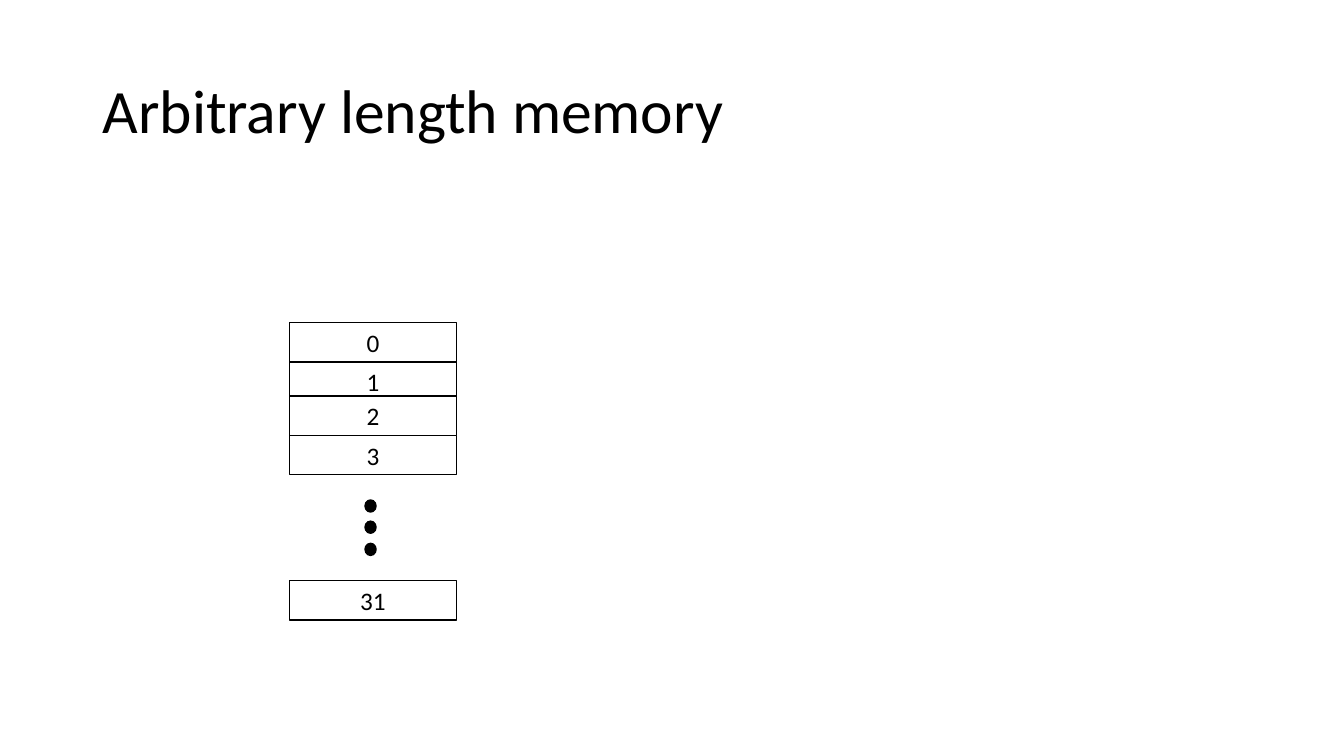
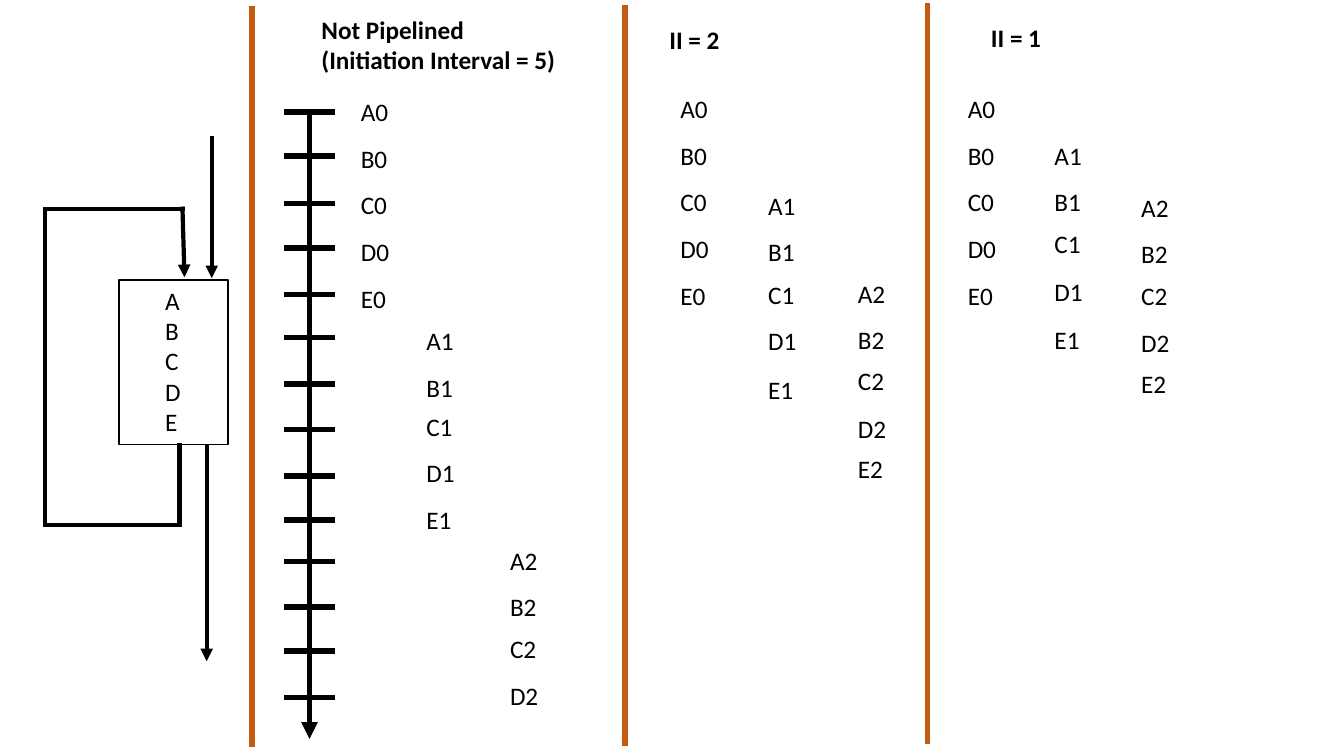
from itertools import pairwise

from pptx import Presentation
from pptx.dml.color import RGBColor
from pptx.enum.shapes import MSO_CONNECTOR, MSO_SHAPE
from pptx.enum.text import MSO_ANCHOR, PP_ALIGN
from pptx.oxml.ns import qn
from pptx.util import Inches, Pt

RECT, OVAL = MSO_SHAPE.RECTANGLE, MSO_SHAPE.OVAL
STRAIGHT = MSO_CONNECTOR.STRAIGHT
MIDDLE, CENTER = MSO_ANCHOR.MIDDLE, PP_ALIGN.CENTER

BLACK = RGBColor(0x00, 0x00, 0x00)
WHITE = RGBColor(0xFF, 0xFF, 0xFF)
ORANGE = RGBColor(0xC5, 0x5A, 0x11)

BODY = {"name": "Calibri", "size": Pt(18)}
HEADING = {**BODY, "bold": True}
TITLE = {**BODY, "size": Pt(44)}

# Slide 1: memory words as label and top
MEMORY_TITLE = "Arbitrary length memory"
MEMORY_WORDS = [("0", 3.2), ("1", 3.59), ("2", 3.93), ("3", 4.32), ("31", 5.76)]
WORD_LEFT, WORD_WIDTH, WORD_HEIGHT = 2.87, 1.66, 0.39
DOT_TOPS = [4.96, 5.17, 5.39]

# Slide 2: pipeline schedules
STAGES = "ABCDE"
HEADINGS = [  # text, left, top, width, height
    ("Not Pipelined\v(Initiation Interval = 5)", 3.09, 0.09, 2.67, 0.71),
    ("II = 2", 6.54, 0.19, 2.5, 0.4),
    ("II = 1", 9.73, 0.17, 2.5, 0.4),
]
FIRST_TOPS = [0.88, 1.34, 1.8, 2.27, 2.73]
ITERATIONS = [  # iteration number, left, top of each stage
    (0, 3.48, [0.91, 1.37, 1.83, 2.3, 2.76]),
    (1, 4.13, [3.18, 3.64, 4.03, 4.49, 4.95]),
    (2, 4.96, [5.36, 5.82, 6.23, 6.7]),
    (0, 6.65, FIRST_TOPS),
    (1, 7.52, [1.84, 2.3, 2.72, 3.18, 3.66]),
    (2, 8.41, [2.71, 3.17, 3.58, 4.05, 4.45]),
    (0, 9.5, FIRST_TOPS),
    (1, 10.36, [1.34, 1.8, 2.22, 2.69, 3.17]),
    (2, 11.22, [1.86, 2.32, 2.73, 3.2, 3.6]),
]
DIVIDERS = [(2.5, 0.06), (6.2, 0.05), (9.2, 0.03)]  # x, top
DIVIDER_HEIGHT = 7.35
AXIS_X, AXIS_BOTTOM, TICK_HALF = 3.07, 7.33, 0.25
TICKS = [1.11, 1.55, 2.02, 2.46, 2.92, 3.35, 3.81,
         4.26, 4.72, 5.16, 5.57, 6.02, 6.46, 6.92]
LOOP_BACK = [(1.78, 4.42), (1.78, 5.21), (0.45, 5.21),
             (0.45, 2.07), (1.81, 2.07), (1.83, 2.75)]
FLOWS = [((2.1, 1.35), (2.1, 2.76)), ((2.05, 4.4), (2.05, 6.56))]  # in, out


def write(frame, lines, style):
    frame.word_wrap = True
    frame.text = "\n".join(lines)
    for paragraph in frame.paragraphs:
        for run in paragraph.runs:
            run.font.color.rgb = BLACK
            for key, value in style.items():
                setattr(run.font, key, value)


def add_text(slide, lines, box, style=BODY):
    frame = slide.shapes.add_textbox(*map(Inches, box)).text_frame
    write(frame, lines, style)
    return frame


def add_figure(slide, kind, box, fill):
    figure = slide.shapes.add_shape(kind, *map(Inches, box))
    figure.shadow.inherit = False
    figure.fill.solid()
    figure.fill.fore_color.rgb = fill
    figure.line.color.rgb = BLACK
    figure.line.width = Pt(1)
    return figure


def add_line(slide, start, end, width, color=BLACK, arrow=False, cap="flat"):
    line = slide.shapes.add_connector(STRAIGHT, *map(Inches, (*start, *end)))
    line.line.color.rgb = color
    line.line.width = Pt(width)
    properties = line.element.spPr
    outline = properties.find(qn("a:ln"))
    outline.set("cap", cap)
    if arrow:
        tail = outline.makeelement(qn("a:tailEnd"), {"type": "triangle"})
        outline.append(tail)
    properties.append(properties.makeelement(qn("a:effectLst"), {}))


def build_memory(slide):
    title = add_text(slide, [MEMORY_TITLE], (0.92, 0.4, 11.5, 1.45), TITLE)
    title.vertical_anchor = MIDDLE
    title.paragraphs[0].line_spacing = 0.9

    # Memory words
    for label, top in MEMORY_WORDS:
        box = (WORD_LEFT, top, WORD_WIDTH, WORD_HEIGHT)
        frame = add_figure(slide, RECT, box, WHITE).text_frame
        write(frame, [label], BODY)
        frame.vertical_anchor = MIDDLE
        frame.paragraphs[0].alignment = CENTER

    # Dots for the words left out
    for top in DOT_TOPS:
        add_figure(slide, OVAL, (3.62, top, 0.11, 0.12), BLACK)


def build_pipeline(slide):
    # Loop body with its flows
    add_figure(slide, RECT, (1.18, 2.78, 1.08, 1.63), WHITE)
    add_text(slide, STAGES, (1.54, 2.78, 0.54, 1.92))
    for start, end in pairwise(LOOP_BACK):
        add_line(slide, start, end, 3, arrow=end == LOOP_BACK[-1], cap="sq")
    for start, end in FLOWS:
        add_line(slide, start, end, 3, arrow=True)

    # Time axis
    add_line(slide, (AXIS_X, TICKS[0]), (AXIS_X, AXIS_BOTTOM), 4, arrow=True)
    for y in TICKS:
        add_line(slide, (AXIS_X - TICK_HALF, y), (AXIS_X + TICK_HALF, y), 4)

    # Columns of the three schedules
    for x, top in DIVIDERS:
        add_line(slide, (x, top), (x, top + DIVIDER_HEIGHT), 4, ORANGE)
    for heading, *box in HEADINGS:
        add_text(slide, [heading], box, HEADING)
    for number, left, tops in ITERATIONS:
        for stage, top in zip(STAGES, tops):
            add_text(slide, [f"{stage}{number}"], (left, top, 1.22, 0.4))


def main():
    deck = Presentation()
    deck.slide_width, deck.slide_height = Inches(13.33), Inches(7.5)
    for build in (build_memory, build_pipeline):
        build(deck.slides.add_slide(deck.slide_layouts[6]))
    deck.save("out.pptx")


if __name__ == "__main__":
    main()
